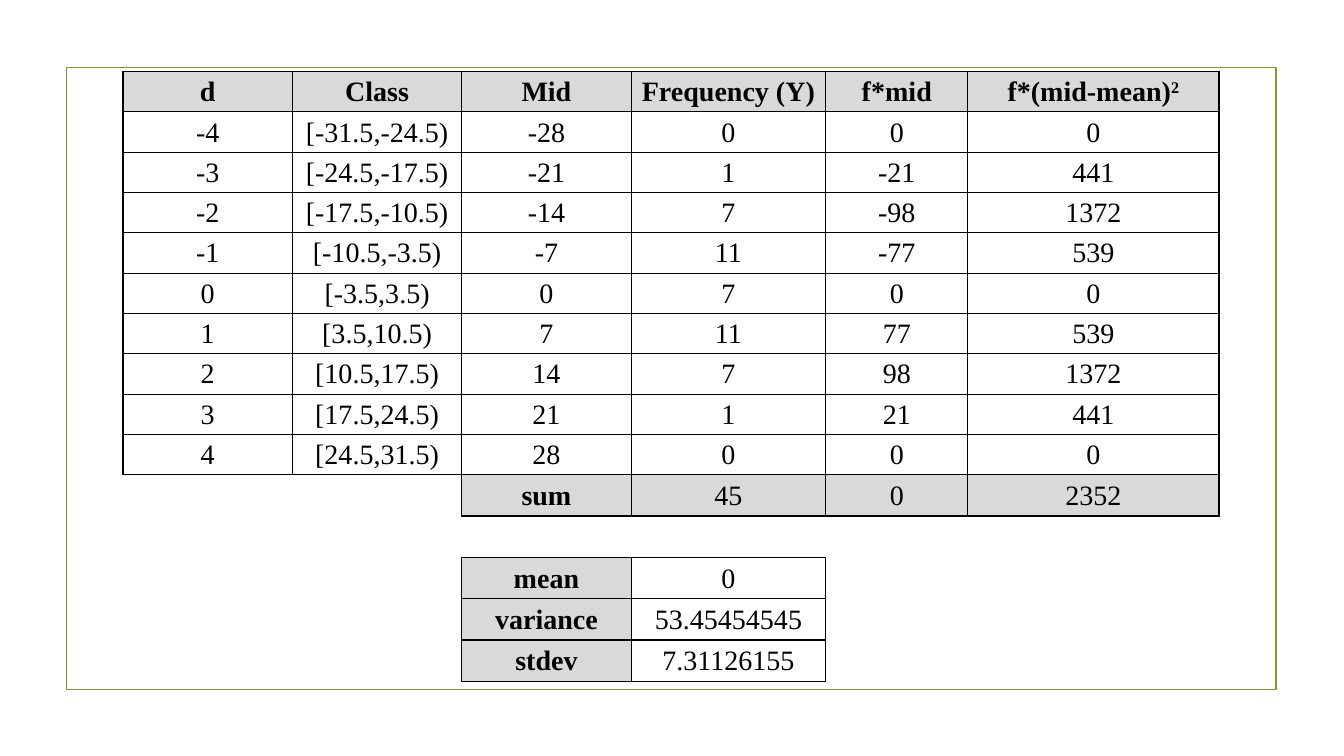
from lxml.etree import SubElement
from pptx import Presentation
from pptx.dml.color import RGBColor
from pptx.enum.shapes import MSO_SHAPE as Shape
from pptx.enum.text import MSO_ANCHOR as Anchor, PP_ALIGN as Align
from pptx.oxml.ns import qn
from pptx.util import Inches, Pt

HEADER = ("d", "Class", "Mid", "Frequency (Y)", "f*mid", "f*(mid-mean)")
EXPONENT = "2"
CLASSES = [
    ("-4", "[-31.5,-24.5)", "-28", "0", "0", "0"),
    ("-3", "[-24.5,-17.5)", "-21", "1", "-21", "441"),
    ("-2", "[-17.5,-10.5)", "-14", "7", "-98", "1372"),
    ("-1", "[-10.5,-3.5)", "-7", "11", "-77", "539"),
    ("0", "[-3.5,3.5)", "0", "7", "0", "0"),
    ("1", "[3.5,10.5)", "7", "11", "77", "539"),
    ("2", "[10.5,17.5)", "14", "7", "98", "1372"),
    ("3", "[17.5,24.5)", "21", "1", "21", "441"),
    ("4", "[24.5,31.5)", "28", "0", "0", "0"),
]
SUMS = ("", "", "sum", "45", "0", "2352")
STATISTICS = [
    ("", "", "mean", "0", "", ""),
    ("", "", "variance", "53.45454545", "", ""),
    ("", "", "stdev", "7.31126155", "", ""),
]
ROWS = [HEADER, *CLASSES, SUMS, ("",) * len(HEADER), *STATISTICS]
SUM_ROW = ROWS.index(SUMS)
LABEL_COLUMN = 2

COLUMN_WIDTHS = (1.68, 1.68, 1.68, 1.93, 1.41, 2.49)
ROW_HEIGHTS = [0.4 if row < SUM_ROW else 0.41 for row in range(len(ROWS))]
EDGES = {"a:lnL": (0, -1), "a:lnR": (0, 1), "a:lnT": (-1, 0), "a:lnB": (1, 0)}

FONT = "Times New Roman"
BLACK = RGBColor(0x00, 0x00, 0x00)
WHITE = RGBColor(0xFF, 0xFF, 0xFF)
GRAY = RGBColor(0xD9, 0xD9, 0xD9)
OLIVE = RGBColor(0x83, 0x99, 0x2A)


def has_text(row, column):
    inside = 0 <= row < len(ROWS) and 0 <= column < len(HEADER)
    return inside and ROWS[row][column] != ""


def draw_borders(cell, row, column):
    properties = cell._tc.get_or_add_tcPr()
    for tag, (down, across) in EDGES.items():
        line = SubElement(properties, qn(tag), w=str(Pt(1)))
        if has_text(row, column) or has_text(row + down, column + across):
            fill = SubElement(line, qn("a:solidFill"))
            SubElement(fill, qn("a:srgbClr"), val=str(BLACK))
        else:
            SubElement(line, qn("a:noFill"))


def is_label(row, column):
    return row == 0 or (row >= SUM_ROW and column == LABEL_COLUMN)


def fill_cell(cell, row, column):
    draw_borders(cell, row, column)
    shaded = has_text(row, column) and (is_label(row, column) or row == SUM_ROW)
    cell.fill.solid()
    cell.fill.fore_color.rgb = GRAY if shaded else WHITE
    cell.vertical_anchor = Anchor.MIDDLE
    cell.margin_left = cell.margin_right = cell.margin_top = Inches(0.01)
    cell.margin_bottom = 0
    if not has_text(row, column):
        return
    para = cell.text_frame.paragraphs[0]
    para.text = ROWS[row][column]
    para.alignment = Align.CENTER
    if row == 0 and column == len(HEADER) - 1:
        power = para.add_run()
        power.text = EXPONENT
        power.font._element.set("baseline", "30000")
    for span in para.runs:
        span.font.name = FONT
        span.font.size = Pt(20)
        span.font.bold = is_label(row, column)
        span.font.color.rgb = BLACK


def main():
    deck = Presentation()
    deck.slide_width, deck.slide_height = Inches(13.33), Inches(7.5)
    page = deck.slides.add_slide(deck.slide_layouts[6])

    frame = page.shapes.add_shape(
        Shape.RECTANGLE, Inches(0.66), Inches(0.67), Inches(12), Inches(6.17))
    frame.shadow.inherit = False
    frame.fill.background()
    frame.line.color.rgb = OLIVE
    frame.line.width = Pt(1.25)

    table = page.shapes.add_table(
        len(ROWS), len(HEADER), Inches(1.22), Inches(0.71),
        Inches(sum(COLUMN_WIDTHS)), Inches(sum(ROW_HEIGHTS))).table
    table.first_row = table.horz_banding = False
    for column, width in zip(table.columns, COLUMN_WIDTHS):
        column.width = Inches(width)
    for row, height in zip(table.rows, ROW_HEIGHTS):
        row.height = Inches(height)
    for row in range(len(ROWS)):
        for column in range(len(HEADER)):
            fill_cell(table.cell(row, column), row, column)

    deck.save("out.pptx")


if __name__ == "__main__":
    main()
